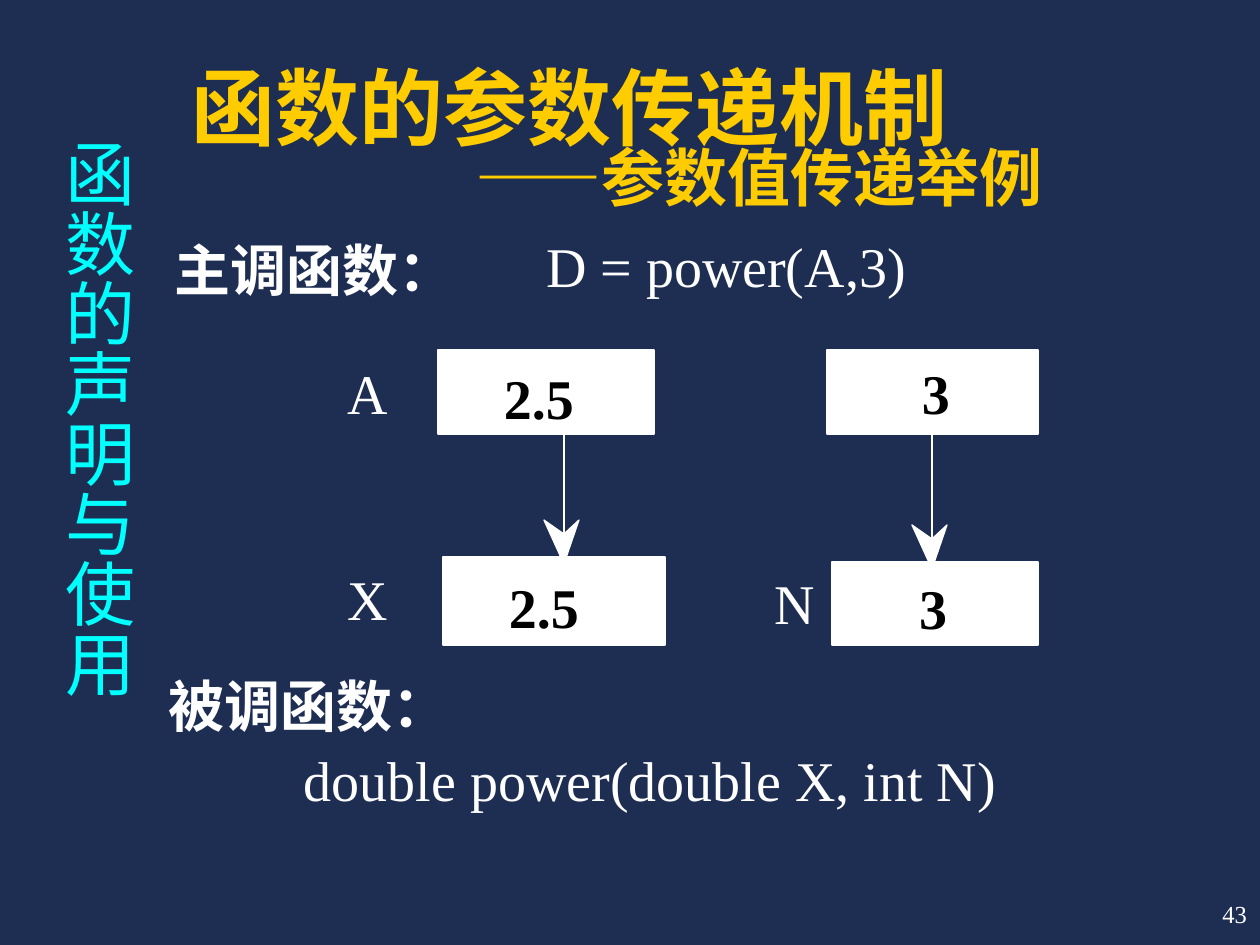
"""Build the slide that explains passing arguments by value."""
from lxml import etree
from pptx import Presentation
from pptx import util as u
from pptx.dml.color import RGBColor
from pptx.enum import shapes, text
from pptx.oxml.ns import qn

PX = u.Inches(1) / 126
COLORS = {"navy": "1E2E53", "gold": "FFCC00", "white": "FFFFFF", "black": "000000", "cyan": "00FFFF"}
SERIF = "Times New Roman"


def px(*values):
    return [u.Emu(round(value * PX)) for value in values]


def write(shape, *lines, size=32, color="white", font=SERIF, bold=False, wrap=False,
          align=text.PP_ALIGN.LEFT, anchor=text.MSO_ANCHOR.TOP, insets=(0, 0, 0, 0)):
    frame = shape.text_frame
    frame.auto_size = text.MSO_AUTO_SIZE.NONE
    frame.word_wrap = wrap
    frame.vertical_anchor = anchor
    frame.margin_left, frame.margin_top, frame.margin_right, frame.margin_bottom = px(*insets)
    frame.text = "\n".join(lines)
    for paragraph in frame.paragraphs:
        paragraph.alignment = align
        paragraph.font.size = u.Pt(size)
        paragraph.font.name = font
        paragraph.font.bold = bold
        paragraph.font.color.rgb = RGBColor.from_string(COLORS[color])
    return frame


presentation = Presentation()
presentation.slide_width, presentation.slide_height = px(1260, 945)
slide = presentation.slides.add_slide(presentation.slide_layouts[5])
slide.background.fill.solid()
slide.background.fill.fore_color.rgb = RGBColor.from_string(COLORS["navy"])
white = RGBColor.from_string(COLORS["white"])

title = slide.shapes.title
title.left, title.top, title.width, title.height = px(179, 62, 987, 157)
frame = write(title, "函数的参数传递机制", "——参数值传递举例", size=48, color="gold", font="Arial",
              bold=True, wrap=True, anchor=text.MSO_ANCHOR.BOTTOM, insets=(13, 6, 13, 6))
heading, subtitle = frame.paragraphs
heading.line_spacing = 0.7
subtitle.line_spacing = 0.78
subtitle.font.size = u.Pt(36)
subtitle._p.get_or_add_pPr().set("marL", str(px(284)[0]))
for paragraph in frame.paragraphs:
    paragraph.space_before = u.Pt(0)

for tip_x, tip_y in [(564, 564), (932, 569)]:
    arrow = slide.shapes.add_connector(
        shapes.MSO_CONNECTOR.STRAIGHT, *px(tip_x, tip_y - 153, tip_x, tip_y - 26))
    arrow.line.color.rgb = white
    arrow.line.width = u.Pt(1)
    etree.SubElement(arrow._element.spPr, qn("a:effectLst"))
    builder = slide.shapes.build_freeform(tip_x, tip_y, scale=PX)
    builder.add_line_segments(
        [(tip_x + dx, tip_y + dy) for dx, dy in [(-20, -44), (0, -30), (15, -44)]], close=True)
    head = builder.convert_to_shape()
    head.shadow.inherit = False
    head.fill.solid()
    head.fill.fore_color.rgb = white
    head.line.color.rgb = white
    head.line.width = u.Pt(0.75)

boxes = [
    ("2.5", 438, 350, 216, 84, 66, 13),
    ("3", 827, 350, 211, 84, 95, 8),
    ("2.5", 443, 557, 222, 88, 66, 16),
    ("3", 832, 562, 206, 83, 87, 11),
]
for value, left, top, width, height, inset_left, inset_top in boxes:
    box = slide.shapes.add_shape(shapes.MSO_SHAPE.RECTANGLE, *px(left, top, width, height))
    box.shadow.inherit = False
    box.fill.solid()
    box.fill.fore_color.rgb = white
    box.line.color.rgb = white
    box.line.width = u.Pt(1)
    write(box, value, color="black", bold=True, wrap=True, insets=(inset_left, inset_top, 0, 0))

labels = [
    ("主调函数：", 174, 236, 281, True),
    ("D = power(A,3)", 546, 231, 360, False),
    ("A", 348, 358, 40, False),
    ("X", 348, 564, 40, False),
    ("N", 775, 569, 40, False),
    ("被调函数：", 168, 671, 281, True),
    ("double power(double X, int N)", 304, 746, 693, False),
]
for label, left, top, width, bold in labels:
    write(slide.shapes.add_textbox(*px(left, top, width, 67)), label, bold=bold)

chapter = slide.shapes.add_textbox(*px(38, 126, 108, 683))
frame = write(chapter, "函数的声明与使用", size=40, color="cyan", wrap=True,
              align=text.PP_ALIGN.CENTER, insets=(6, 13, 6, 13))
frame._txBody.bodyPr.set("vert", "eaVert")

number = slide.shapes.add_textbox(*px(998, 882, 262, 63))
write(number, "43", size=14, wrap=True, align=text.PP_ALIGN.RIGHT,
      anchor=text.MSO_ANCHOR.MIDDLE, insets=(13, 6, 13, 6))

presentation.save("out.pptx")
